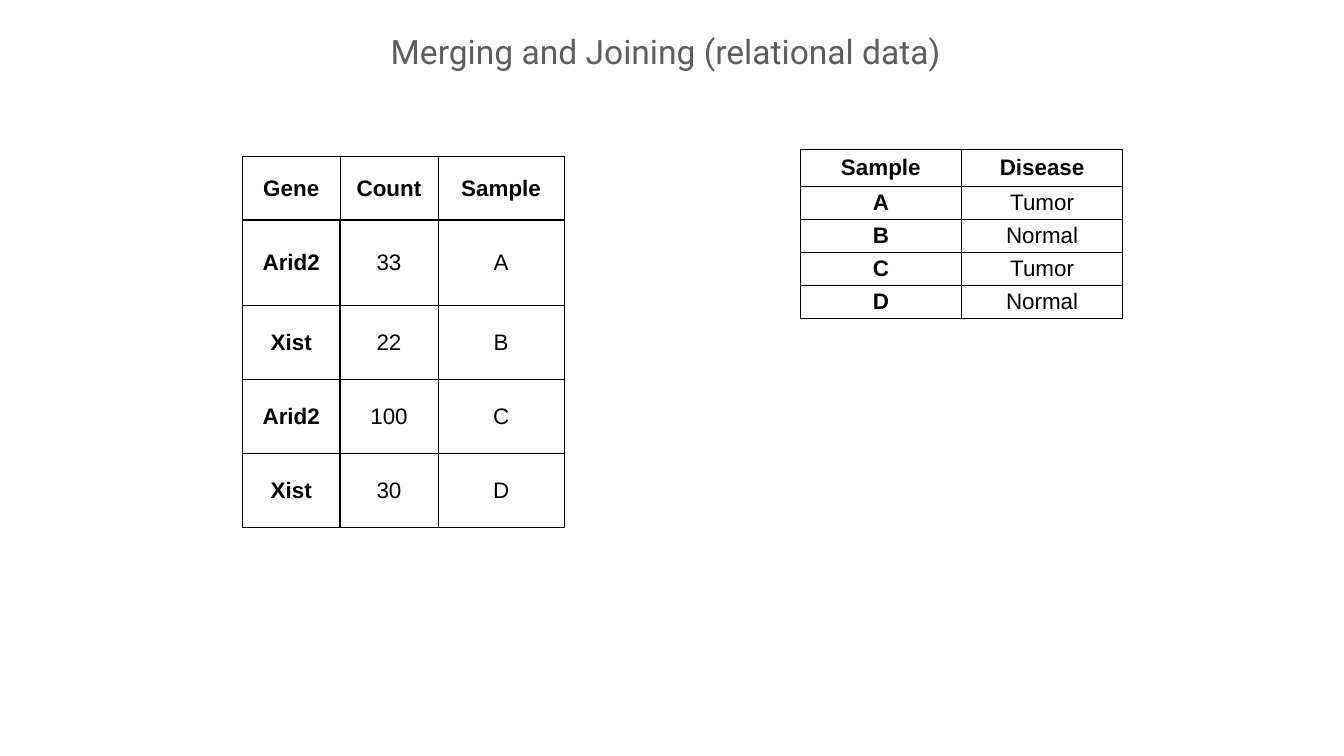
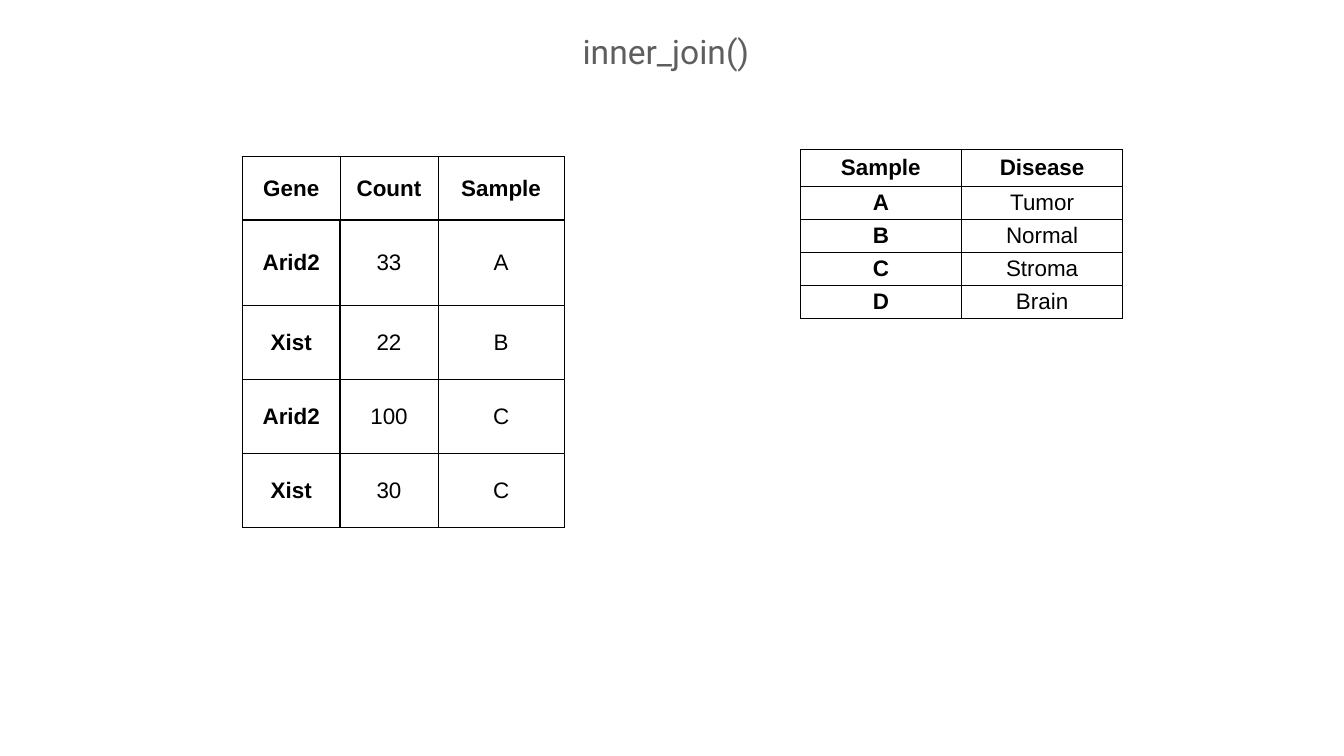
from dataclasses import dataclass

from lxml import etree
from pptx import Presentation
from pptx.dml.color import RGBColor
from pptx.enum.text import MSO_ANCHOR, MSO_AUTO_SIZE, PP_ALIGN
from pptx.oxml.ns import qn
from pptx.util import Pt

CENTER = PP_ALIGN.CENTER
MIDDLE = MSO_ANCHOR.MIDDLE
GROW = MSO_AUTO_SIZE.SHAPE_TO_FIT_TEXT
EMU_PER_PX = 9144
BLANK_LAYOUT = 6


@dataclass(frozen=True)
class Theme:
    """Colours, fonts, type sizes and line widths of the slides."""
    title_color: str = "5E5E5E"
    ink: str = "000000"
    title_font: str = "Roboto"
    table_font: str = "Arial"
    title_size: int = 48
    table_size: int = 32
    thin: int = 1
    thick: int = 3
    inset: int = 6


THEME = Theme()
SLIDE_SIZE = (2667, 1500)
TITLE_CENTER, TITLE_TOP, TITLE_HEIGHT = 1321, 49, 103
COUNTS_BOX = (481, 311, 641, 738)
COUNTS_COLUMNS = (194, 194, 251)
COUNTS_ROWS = (125, 170, 147, 147, 147)
DISEASES_BOX = (1588, 297, 641, 738)
DISEASES_COLUMNS = (320, 320)
DISEASES_ROWS = (73, 63, 61, 61, 61)
GENE_COUNTS = (("Arid2", "33"), ("Xist", "22"), ("Arid2", "100"), ("Xist", "30"))

SLIDES = (
    ("Merging and Joining (relational data)", 1138, "ABCD",
     ("Tumor", "Normal", "Tumor", "Normal")),
    ("inner_join()", 355, "ABCC",
     ("Tumor", "Normal", "Stroma", "Brain")),
)


def px(length):
    """Turn px into EMU."""
    return length * EMU_PER_PX


def write_text(paragraph, text, *, font, size, color, bold=False):
    """Write one centred run with its format."""
    paragraph.alignment = CENTER
    run = paragraph.add_run()
    run.text = text
    run.font.name = font
    run.font.size = Pt(size)
    run.font.bold = bold
    run.font.color.rgb = RGBColor.from_string(color)


def set_margins(holder):
    """Give a text frame or a cell the shared inset on every side."""
    holder.margin_left = holder.margin_right = px(THEME.inset)
    holder.margin_top = holder.margin_bottom = px(THEME.inset)


def add_title(slide, text, width):
    """Place the title around the shared centre line."""
    shape = slide.shapes.add_textbox(px(TITLE_CENTER - width // 2), px(TITLE_TOP),
                                     px(width), px(TITLE_HEIGHT))
    frame = shape.text_frame
    frame.word_wrap = False
    frame.auto_size = GROW
    frame.vertical_anchor = MIDDLE
    set_margins(frame)
    write_text(frame.paragraphs[0], text, font=THEME.title_font,
               size=THEME.title_size, color=THEME.title_color)


def set_borders(cell, right, bottom):
    """Draw the four cell borders, thin at the left and top."""
    properties = cell._tc.get_or_add_tcPr()
    widths = {"a:lnL": THEME.thin, "a:lnR": right,
              "a:lnT": THEME.thin, "a:lnB": bottom}
    for tag, width in widths.items():
        line = etree.SubElement(properties, qn(tag), w=str(Pt(width)))
        fill = etree.SubElement(line, qn("a:solidFill"))
        etree.SubElement(fill, qn("a:srgbClr"), val=THEME.ink)


def add_data_table(slide, box, columns, rows, records):
    """Place a table with a bold header row and a bold first column."""
    left, top, width, height = map(px, box)
    shape = slide.shapes.add_table(len(rows), len(columns), left, top, width, height)
    table = shape.table
    table.first_row = table.horz_banding = False
    for column, column_width in zip(table.columns, columns):
        column.width = px(column_width)
    for row, row_height in zip(table.rows, rows):
        row.height = px(row_height)
    shape.width, shape.height = width, height
    for row_index, record in enumerate(records):
        for column_index, text in enumerate(record):
            cell = table.cell(row_index, column_index)
            header = row_index == 0
            key = column_index == 0 and not header
            set_borders(cell, right=THEME.thick if key else THEME.thin,
                        bottom=THEME.thick if header else THEME.thin)
            cell.fill.background()
            cell.vertical_anchor = MIDDLE
            set_margins(cell)
            write_text(cell.text_frame.paragraphs[0], text, font=THEME.table_font,
                       size=THEME.table_size, color=THEME.ink, bold=header or key)


def add_join_slide(presentation, title, title_width, samples, diseases):
    """Add a slide with the counts table beside the diseases table."""
    slide = presentation.slides.add_slide(presentation.slide_layouts[BLANK_LAYOUT])
    add_title(slide, title, title_width)
    counts = [(*pair, sample) for pair, sample in zip(GENE_COUNTS, samples)]
    add_data_table(slide, COUNTS_BOX, COUNTS_COLUMNS, COUNTS_ROWS,
                   [("Gene", "Count", "Sample"), *counts])
    add_data_table(slide, DISEASES_BOX, DISEASES_COLUMNS, DISEASES_ROWS,
                   [("Sample", "Disease"), *zip("ABCD", diseases)])


def main():
    """Build and save the presentation."""
    presentation = Presentation()
    presentation.slide_width, presentation.slide_height = map(px, SLIDE_SIZE)
    for content in SLIDES:
        add_join_slide(presentation, *content)
    presentation.save("out.pptx")


if __name__ == "__main__":
    main()
